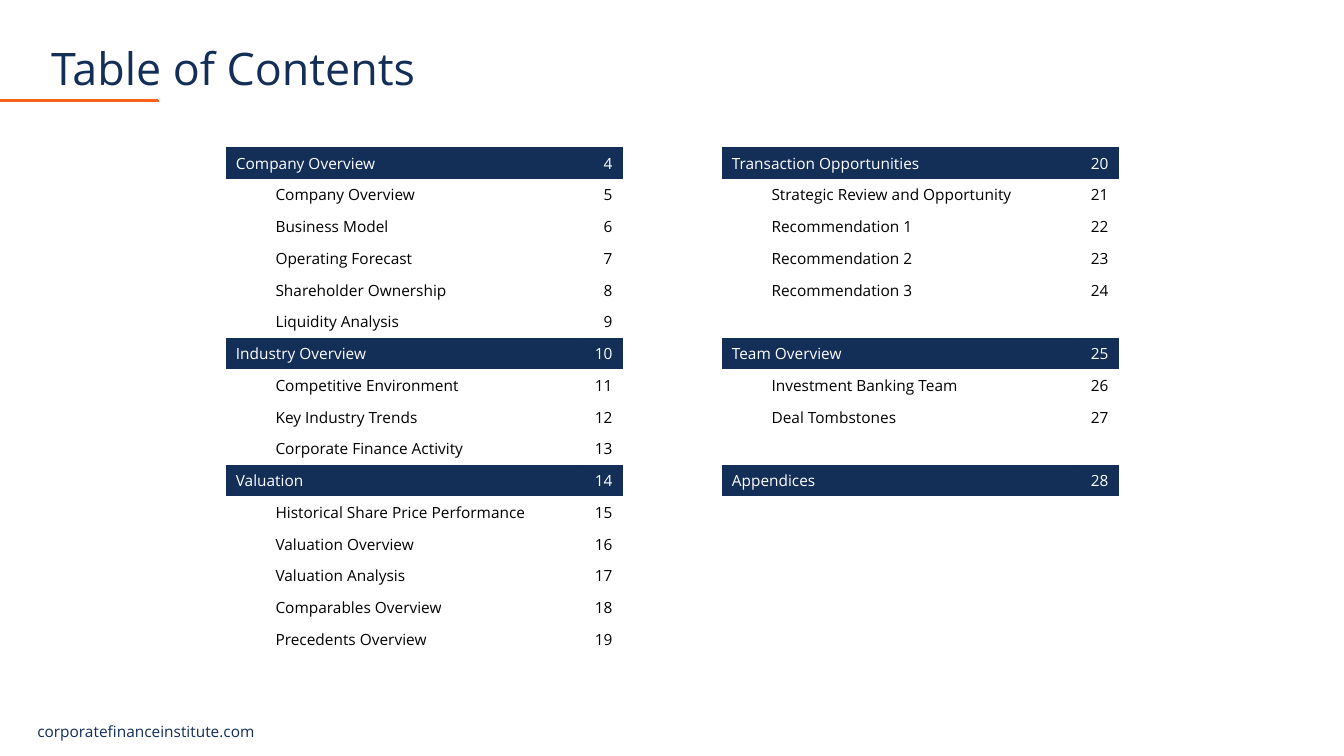
from itertools import count

from lxml.etree import SubElement
from pptx import Presentation
from pptx.dml.color import RGBColor
from pptx.enum.shapes import MSO_CONNECTOR as Link
from pptx.enum.text import MSO_ANCHOR as Anchor, PP_ALIGN as Align
from pptx.oxml import parse_xml
from pptx.oxml.ns import nsdecls, qn
from pptx.util import Cm, Pt

NAVY = RGBColor(0x13, 0x2E, 0x57)
ORANGE = RGBColor(0xFA, 0x62, 0x1C)
WHITE = RGBColor(0xFF, 0xFF, 0xFF)
BLACK = RGBColor(0, 0, 0)
FONT = "Open Sans"
PLAIN = "{2D5ABB26-0587-4C30-8999-92F81FD0307C}"
WIDTHS = [1, 8, 1, 2.5, 1, 8, 1]
ROWS = 16
ROW = 0.8
FIRST = 4

LEFT = [
    (0, "Company Overview", ["Company Overview", "Business Model", "Operating Forecast",
                             "Shareholder Ownership", "Liquidity Analysis"]),
    (6, "Industry Overview", ["Competitive Environment", "Key Industry Trends",
                              "Corporate Finance Activity"]),
    (10, "Valuation", ["Historical Share Price Performance", "Valuation Overview",
                       "Valuation Analysis", "Comparables Overview",
                       "Precedents Overview"]),
]
RIGHT = [
    (0, "Transaction Opportunities", ["Strategic Review and Opportunity",
                                      "Recommendation 1", "Recommendation 2",
                                      "Recommendation 3"]),
    (6, "Team Overview", ["Investment Banking Team", "Deal Tombstones"]),
    (10, "Appendices", []),
]


def write(frame, words, size=11, color=BLACK, align=Align.LEFT, space=None):
    par = frame.paragraphs[0]
    par.alignment = align
    par.line_spacing = space
    run = par.add_run()
    run.text = words
    run.font.name = FONT
    run.font.size = Pt(size)
    run.font.color.rgb = color


def add_text(slide, words, x, y, wide, high, **form):
    frame = slide.shapes.add_textbox(Cm(x), Cm(y), Cm(wide), Cm(high)).text_frame
    frame.word_wrap = True
    frame.vertical_anchor = Anchor.MIDDLE
    write(frame, words, **form)


def add_rule(slide, y, end):
    rule = slide.shapes.add_connector(Link.STRAIGHT, 0, Cm(y), Cm(end), Cm(y))
    rule.line.color.rgb = ORANGE
    rule.line.width = Pt(1.5)
    SubElement(rule._element.spPr, qn("a:effectLst"))


def add_edge(cell, side):
    cell._tc.get_or_add_tcPr().insert(0, parse_xml(
        f'<a:{side} {nsdecls("a")} w="12700"><a:solidFill>'
        f'<a:srgbClr val="{NAVY}"/></a:solidFill></a:{side}>'))


def add_grid(slide):
    frame = slide.shapes.add_table(ROWS, len(WIDTHS), Cm(5.69), Cm(3.71),
                                   Cm(sum(WIDTHS)), Cm(ROWS * ROW))
    grid = frame.table
    grid.first_row = grid.horz_banding = False
    grid._tbl.tblPr.find(qn("a:tableStyleId")).text = PLAIN
    for col, wide in zip(grid.columns, WIDTHS):
        col.width = Cm(wide)
    for row in grid.rows:
        row.height = Cm(ROW)
    for cell in grid.iter_cells():
        cell.vertical_anchor = Anchor.MIDDLE
        cell.fill.background()
    return grid


def add_entry(grid, row, col, words, page, color):
    write(grid.cell(row, col).text_frame, words, color=color)
    last = grid.cell(row, col - col % 4 + 2)
    last.margin_left = 0
    write(last.text_frame, str(page), color=color, align=Align.RIGHT)


def add_head(grid, row, col, words, page):
    head, last = grid.cell(row, col), grid.cell(row, col + 2)
    head.merge(grid.cell(row, col + 1))
    for cell, side in ((head, "a:lnR"), (last, "a:lnL")):
        cell.fill.solid()
        cell.fill.fore_color.rgb = NAVY
        add_edge(cell, side[2:])
    add_entry(grid, row, col, words, page, WHITE)


def fill_gaps(grid):
    for cell in grid.iter_cells():
        if not cell.text_frame.text:
            SubElement(cell.text_frame.paragraphs[0]._p, qn("a:endParaRPr"), sz="1100")


def main():
    deck = Presentation()
    deck.slide_width, deck.slide_height = Cm(33.87), Cm(19.05)
    slide = deck.slides.add_slide(deck.slide_layouts[6])
    add_rule(slide, 2.51, 3.99)
    add_text(slide, "corporatefinanceinstitute.com", 0.69, 18.06, 12.62, 0.74, color=NAVY)
    add_rule(slide, 2.54, 4.01)
    add_text(slide, "Table of Contents", 1.04, 1.04, 29.21, 1.5,
             size=32, color=NAVY, space=0.9)
    grid = add_grid(slide)
    pages = count(FIRST)
    for col, parts in ((0, LEFT), (4, RIGHT)):
        for top, title, items in parts:
            add_head(grid, top, col, title, next(pages))
            for row, item in enumerate(items, top + 1):
                add_entry(grid, row, col + 1, item, next(pages), BLACK)
    fill_gaps(grid)
    deck.save("out.pptx")


if __name__ == "__main__":
    main()
